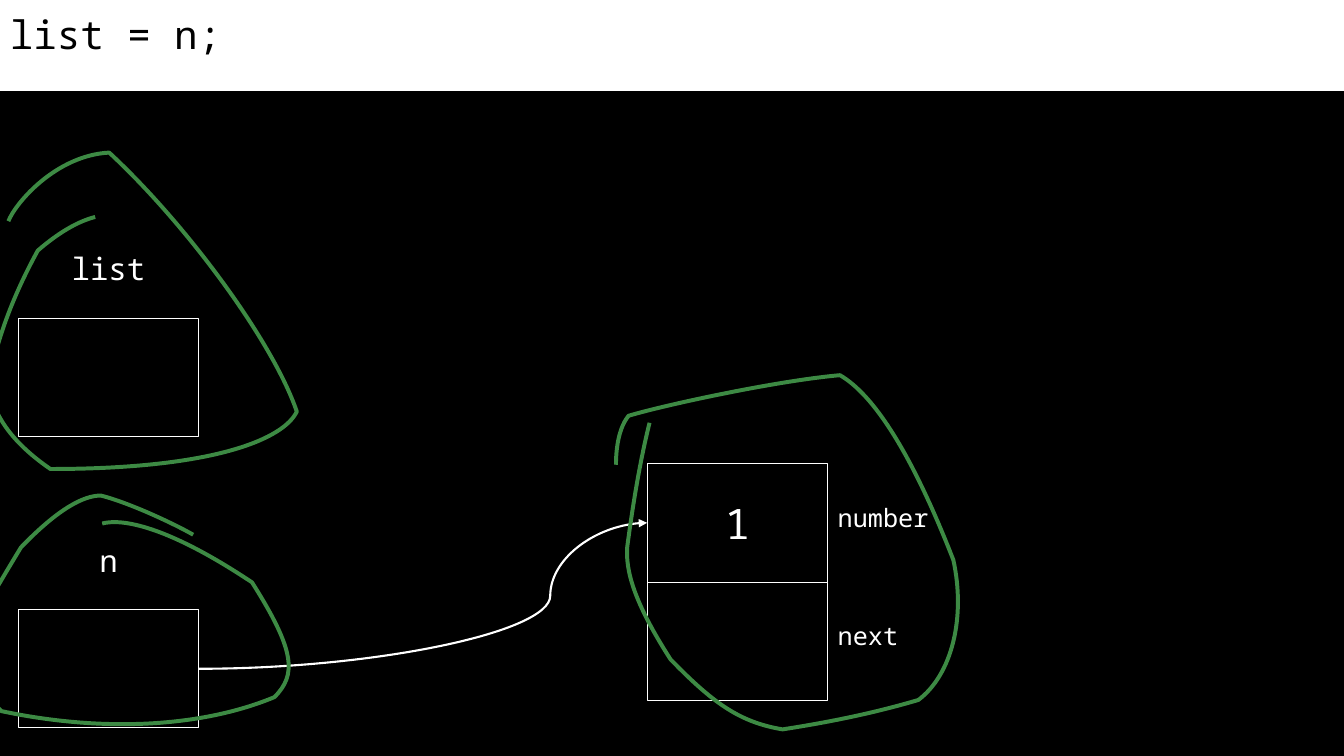
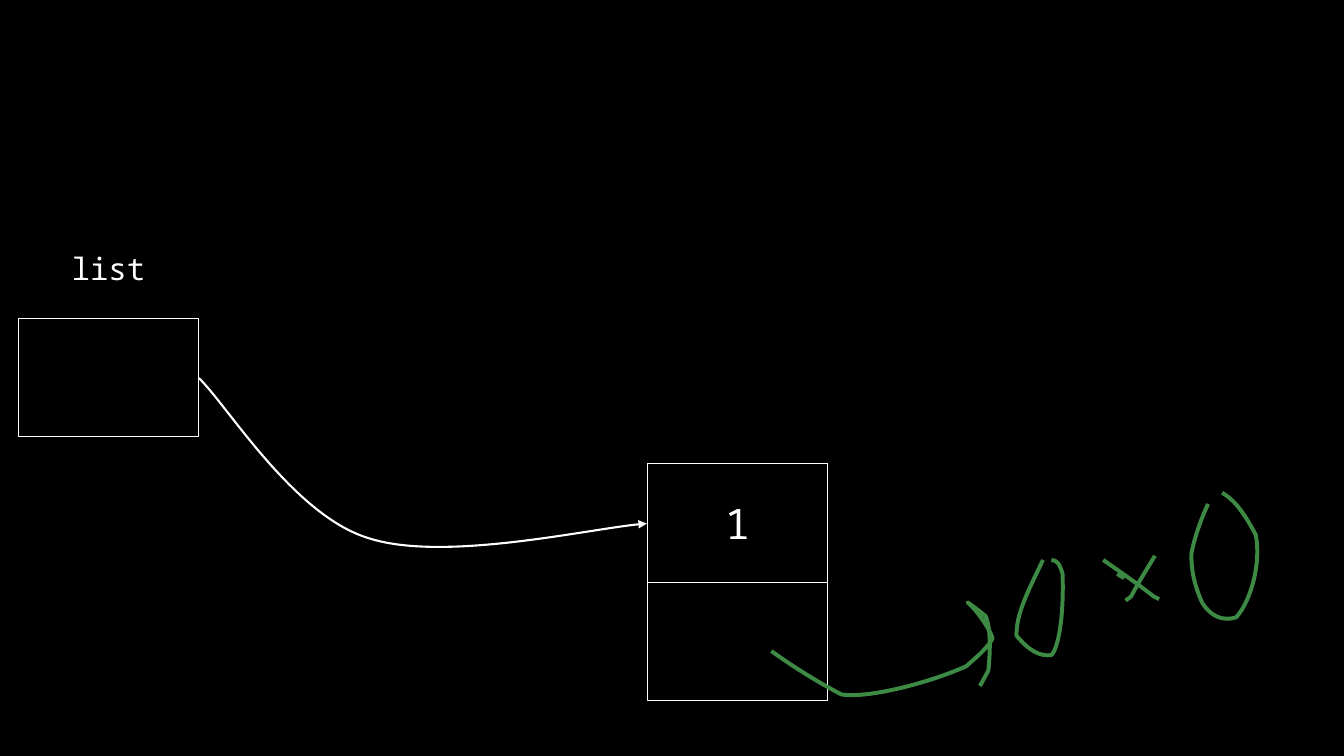
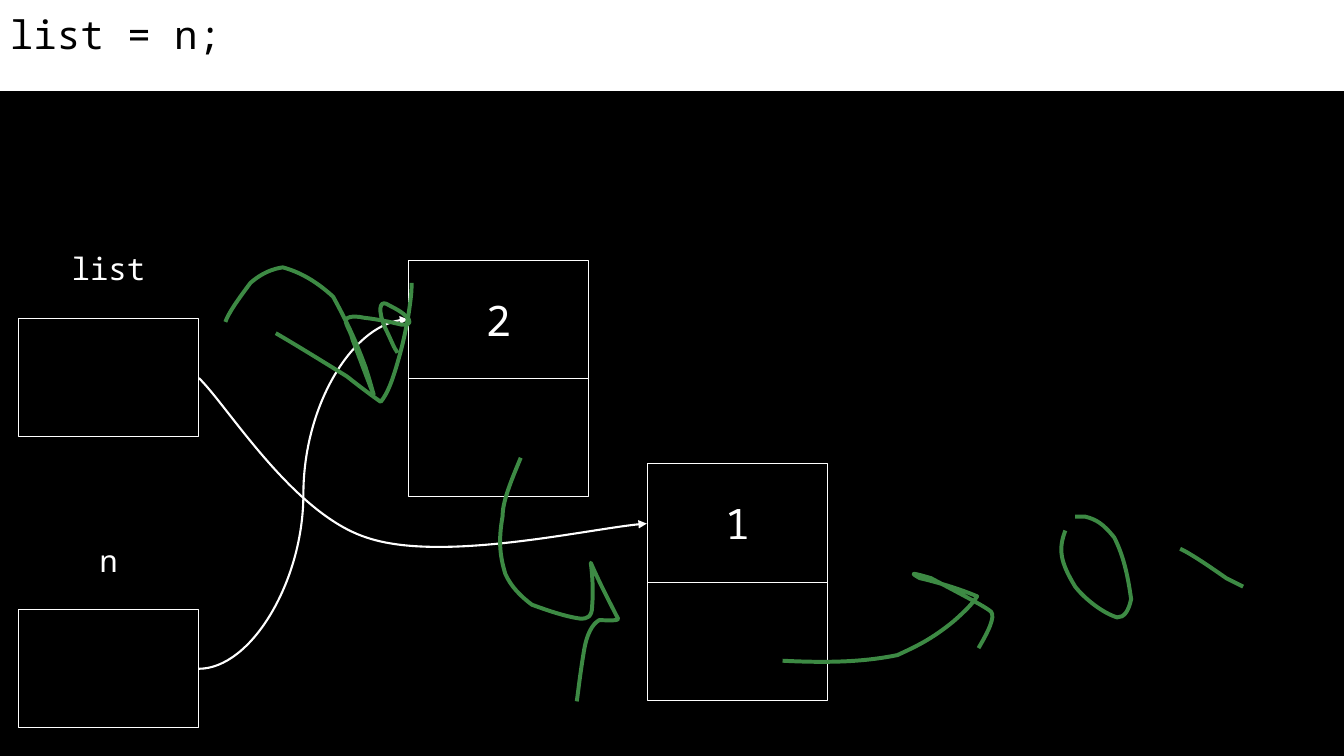
from dataclasses import dataclass

from pptx import Presentation
from pptx.dml.color import RGBColor
from pptx.enum import shapes, text
from pptx.oxml import xmlchemy
from pptx.shapes import autoshape, connector as links
from pptx.slide import Slide
from pptx.util import Pt

Points = tuple[tuple[float, float], ...]


@dataclass(frozen=True)
class Theme:
    font: str = "Noto Sans Mono"
    background: RGBColor = RGBColor(0, 0, 0)
    foreground: RGBColor = RGBColor(255, 255, 255)
    ink: RGBColor = RGBColor(0x3D, 0x8A, 0x44)
    title_size: float = 28
    value_size: float = 30
    label_size: float = 22
    field_size: float = 18
    box_line: float = 0.75
    link_line: float = 1.5
    ink_line: float = 2.83
    inset: float = 7.2


@dataclass(frozen=True)
class Variable:
    name: str
    left: float
    top: float


@dataclass(frozen=True)
class Node:
    value: str
    left: float
    top: float
    next_fill: RGBColor | None = None


THEME = Theme()
SLIDE_WIDTH, SLIDE_HEIGHT = 960, 540
TITLE_HEIGHT = 65
BOX_WIDTH, BOX_HEIGHT = 129, 84.5
LABEL_WIDTH, LABEL_HEIGHT, LABEL_RISE = 90, 42.5, 56
FIELD_WIDTH, FIELD_HEIGHT, FIELD_DROP = 111.5, 42, 20.5
LEFT_SITE, RIGHT_SITE = 1, 3

LIST = Variable("list", 13, 227.5)
N = Variable("n", 13, 435.5)
FIRST_NODE = Node("1", 462.25, 331.25)
SECOND_NODE = Node("2", 291.5, 186, THEME.background)

LIST_LINK: Points = (
    (142, 270), (162, 289), (209, 367), (262, 384), (315, 402), (428, 376), (462, 374),
)

CIRCLE_NODE: Points = (
    (464, 302), (457, 330), (452, 361), (448, 391), (447, 407), (452, 429), (479, 471),
    (510, 503), (529, 516), (559, 521), (598, 515), (629, 508), (656, 500), (680, 482),
    (690, 441), (681, 400), (651, 323), (624, 282), (600, 268), (555, 272), (476, 289),
    (449, 297), (440, 308), (440, 328), (440, 332),
)
CIRCLE_N: Points = (
    (138, 382), (124, 374), (92, 359), (72, 354), (60, 354), (42, 363), (15, 391),
    (-5, 424), (-14, 440), (-22, 457), (-25, 471), (-25, 482), (1, 508), (72, 523),
    (143, 520), (196, 498), (212, 482), (211, 465), (180, 416), (114, 372), (84, 371),
    (73, 374),
)
CIRCLE_LIST: Points = (
    (68, 155), (56, 158), (42, 166), (27, 179), (4, 221), (-4, 252), (-8, 274),
    (-6, 292), (4, 313), (36, 335), (155, 335), (203, 313), (212, 294), (195, 244),
    (133, 160), (78, 109), (40, 111), (11, 145), (6, 158),
)

NULL_ARROW: Points = (
    (551, 465), (562, 473), (580, 485), (601, 496), (620, 499), (663, 488), (690, 476),
    (703, 465), (707, 460), (709, 456), (708, 451), (698, 436), (692, 431), (688, 428),
    (698, 435), (704, 440), (707, 446), (708, 460), (706, 479), (700, 490),
)
LEFT_ZERO: Points = (
    (745, 400), (734, 423), (726, 438), (726, 454), (735, 465), (743, 469), (751, 468),
    (756, 463), (760, 441), (759, 410), (757, 403), (755, 400), (751, 400),
)
CROSS_TICK: Points = ((803, 413), (798, 410))
CROSS_FALL: Points = ((788, 400), (798, 407), (814, 418), (824, 426), (828, 428))
CROSS_RISE: Points = ((825, 397), (817, 410), (811, 420), (808, 426), (804, 429))
RIGHT_ZERO: Points = (
    (863, 360), (859, 368), (853, 384), (851, 396), (851, 407), (853, 418), (859, 431),
    (865, 440), (873, 444), (883, 441), (894, 429), (901, 401), (897, 382), (887, 363),
    (880, 356), (873, 352),
)

LIST_TO_SECOND: Points = (
    (161, 230), (163, 224), (170, 214), (179, 202), (187, 195), (195, 192), (202, 191),
    (213, 194), (225, 200), (238, 212), (250, 234), (255, 246), (261, 262), (264, 271),
    (266, 279), (267, 282), (264, 275), (260, 264), (252, 243), (251, 238), (248, 234),
    (247, 230), (246, 227), (251, 225), (260, 227), (269, 228), (279, 230), (287, 232),
    (290, 232), (294, 232), (292, 228), (287, 222), (281, 220), (276, 217), (271, 215),
    (270, 222), (275, 234), (280, 244), (281, 248), (284, 252),
)
CHECK_MARK: Points = (
    (197, 238), (204, 242), (219, 251), (248, 269), (258, 277), (269, 285), (272, 287),
    (277, 281), (281, 271), (287, 248), (292, 228), (294, 210), (294, 205), (294, 202),
)
SECOND_TO_FIRST: Points = (
    (372, 327), (364, 346), (359, 359), (359, 369), (356, 386), (357, 397), (361, 410),
    (365, 419), (372, 426), (380, 432), (399, 439), (408, 441), (415, 442), (419, 442),
    (423, 441), (423, 433), (424, 421), (423, 409), (422, 402), (429, 418), (436, 431),
    (441, 441), (444, 444), (434, 443), (428, 443), (423, 446), (419, 453), (417, 466),
    (414, 484), (413, 495), (412, 501),
)
FIRST_TO_NULL: Points = (
    (559, 472), (598, 474), (621, 472), (641, 468), (654, 462), (665, 457), (681, 444),
    (689, 437), (695, 431), (698, 426), (684, 420), (666, 415), (657, 413), (652, 410),
    (648, 408), (665, 413), (695, 429), (703, 433), (708, 437), (711, 441), (706, 451),
    (699, 463),
)
NULL_ZERO: Points = (
    (761, 379), (756, 392), (757, 401), (768, 419), (775, 428), (788, 438), (798, 441),
    (803, 441), (806, 437), (808, 428), (805, 406), (801, 394), (796, 384), (788, 374),
    (783, 371), (775, 369), (768, 369),
)
NULL_DASH: Points = ((843, 392), (850, 395), (866, 406), (876, 413), (888, 419))


def write_text(
    shape: autoshape.Shape,
    words: str,
    size: float,
    color: RGBColor = THEME.foreground,
    align: text.PP_ALIGN = text.PP_ALIGN.LEFT,
    anchor: text.MSO_ANCHOR = text.MSO_ANCHOR.TOP,
) -> None:
    frame = shape.text_frame
    frame.word_wrap = True
    frame.vertical_anchor = anchor
    frame.margin_left = frame.margin_right = Pt(THEME.inset)
    frame.margin_top = frame.margin_bottom = Pt(THEME.inset)
    paragraph = frame.paragraphs[0]
    paragraph.text = words
    paragraph.alignment = align
    paragraph.font.name = THEME.font
    paragraph.font.size = Pt(size)
    paragraph.font.color.rgb = color


def draw_rectangle(
    slide: Slide, left: float, top: float, width: float, height: float, fill: RGBColor | None
) -> autoshape.Shape:
    shape = slide.shapes.add_shape(
        shapes.MSO_SHAPE.RECTANGLE, Pt(left), Pt(top), Pt(width), Pt(height)
    )
    shape.shadow.inherit = False
    if fill is None:
        shape.fill.background()
    else:
        shape.fill.solid()
        shape.fill.fore_color.rgb = fill
    return shape


def draw_title(slide: Slide, words: str) -> None:
    band = draw_rectangle(slide, 0, 0, SLIDE_WIDTH, TITLE_HEIGHT, THEME.foreground)
    band.line.fill.background()
    write_text(band, words, THEME.title_size, THEME.background)


def draw_box(
    slide: Slide, left: float, top: float, fill: RGBColor | None = None
) -> autoshape.Shape:
    box = draw_rectangle(slide, left, top, BOX_WIDTH, BOX_HEIGHT, fill)
    box.line.color.rgb = THEME.foreground
    box.line.width = Pt(THEME.box_line)
    return box


def draw_variable(slide: Slide, variable: Variable) -> autoshape.Shape:
    box = draw_box(slide, variable.left, variable.top)
    label = slide.shapes.add_textbox(
        Pt(variable.left + (BOX_WIDTH - LABEL_WIDTH) / 2),
        Pt(variable.top - LABEL_RISE),
        Pt(LABEL_WIDTH),
        Pt(LABEL_HEIGHT),
    )
    write_text(label, variable.name, THEME.label_size, align=text.PP_ALIGN.CENTER)
    return box


def draw_node(slide: Slide, node: Node) -> autoshape.Shape:
    value_box = draw_box(slide, node.left, node.top)
    write_text(
        value_box,
        node.value,
        THEME.value_size,
        align=text.PP_ALIGN.CENTER,
        anchor=text.MSO_ANCHOR.MIDDLE,
    )
    draw_box(slide, node.left, node.top + BOX_HEIGHT, node.next_fill)
    return value_box


def draw_field_names(slide: Slide, node: Node, names: tuple[str, ...]) -> None:
    for row, name in enumerate(names):
        label = slide.shapes.add_textbox(
            Pt(node.left + BOX_WIDTH),
            Pt(node.top + row * BOX_HEIGHT + FIELD_DROP),
            Pt(FIELD_WIDTH),
            Pt(FIELD_HEIGHT),
        )
        write_text(label, name, THEME.field_size)


def style_line(
    shape: autoshape.Shape | links.Connector, color: RGBColor, width: float, arrow: bool
) -> None:
    shape.line.color.rgb = color
    shape.line.width = Pt(width)
    if arrow:
        tail = xmlchemy.OxmlElement("a:tailEnd")
        tail.set("type", "triangle")
        shape.element.xpath(".//a:ln")[0].append(tail)


def draw_curve(
    slide: Slide, points: Points, color: RGBColor, width: float, arrow: bool = False
) -> None:
    start, *rest = [(Pt(x), Pt(y)) for x, y in points]
    builder = slide.shapes.build_freeform(*start)
    builder.add_line_segments(rest, close=False)
    curve = builder.convert_to_shape()
    curve.shadow.inherit = False
    curve.fill.background()
    segments = curve.element.xpath(".//a:lnTo")
    for index in range(0, len(segments) - 2, 3):
        bezier = xmlchemy.OxmlElement("a:cubicBezTo")
        segments[index].addprevious(bezier)
        for segment in segments[index:index + 3]:
            bezier.append(segment[0])
            segment.getparent().remove(segment)
    style_line(curve, color, width, arrow)


def draw_ink(slide: Slide, *strokes: Points) -> None:
    for stroke in strokes:
        draw_curve(slide, stroke, THEME.ink, THEME.ink_line)


def draw_list_link(slide: Slide) -> None:
    draw_curve(slide, LIST_LINK, THEME.foreground, THEME.link_line, arrow=True)


def connect(
    slide: Slide, source: autoshape.Shape, target: autoshape.Shape, bend: float
) -> None:
    connector = slide.shapes.add_connector(shapes.MSO_CONNECTOR.CURVE, 0, 0, 0, 0)
    connector.begin_connect(source, RIGHT_SITE)
    connector.end_connect(target, LEFT_SITE)
    style_line(connector, THEME.foreground, THEME.link_line, arrow=True)
    guide = xmlchemy.OxmlElement("a:gd")
    guide.set("name", "adj1")
    guide.set("fmla", f"val {round(bend * 100000)}")
    connector.element.xpath(".//a:avLst")[0].append(guide)
    properties = connector.element.xpath("./p:spPr")[0]
    properties.append(xmlchemy.OxmlElement("a:effectLst"))


def add_slide(presentation: Presentation) -> Slide:
    slide = presentation.slides.add_slide(presentation.slide_layouts[6])
    slide.background.fill.solid()
    slide.background.fill.fore_color.rgb = THEME.background
    return slide


def add_new_node_slide(presentation: Presentation) -> None:
    slide = add_slide(presentation)
    draw_variable(slide, LIST)
    first = draw_node(slide, FIRST_NODE)
    draw_title(slide, "list = n;")
    n_box = draw_variable(slide, N)
    draw_field_names(slide, FIRST_NODE, ("number", "next"))
    connect(slide, n_box, first, 0.784)
    draw_ink(slide, CIRCLE_NODE, CIRCLE_N, CIRCLE_LIST)


def add_null_slide(presentation: Presentation) -> None:
    slide = add_slide(presentation)
    draw_variable(slide, LIST)
    draw_node(slide, FIRST_NODE)
    draw_list_link(slide)
    draw_ink(slide, NULL_ARROW, LEFT_ZERO, CROSS_TICK, CROSS_FALL, CROSS_RISE, RIGHT_ZERO)


def add_second_node_slide(presentation: Presentation) -> None:
    slide = add_slide(presentation)
    draw_variable(slide, LIST)
    draw_node(slide, FIRST_NODE)
    draw_list_link(slide)
    draw_title(slide, "list = n;")
    second = draw_node(slide, SECOND_NODE)
    n_box = draw_variable(slide, N)
    connect(slide, n_box, second, 0.5)
    draw_ink(
        slide, LIST_TO_SECOND, CHECK_MARK, SECOND_TO_FIRST, FIRST_TO_NULL, NULL_ZERO, NULL_DASH
    )


def main() -> None:
    presentation = Presentation()
    presentation.slide_width = Pt(SLIDE_WIDTH)
    presentation.slide_height = Pt(SLIDE_HEIGHT)
    add_new_node_slide(presentation)
    add_null_slide(presentation)
    add_second_node_slide(presentation)
    presentation.save("out.pptx")


if __name__ == "__main__":
    main()
